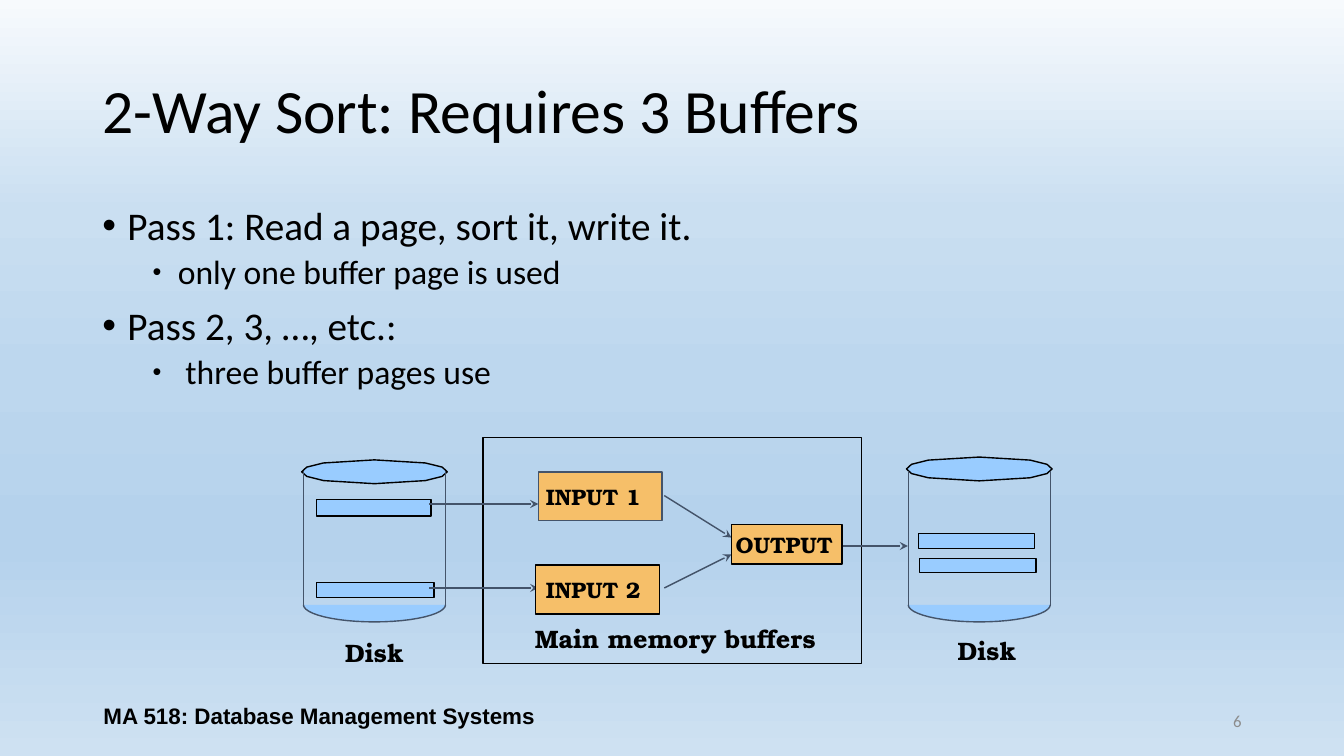
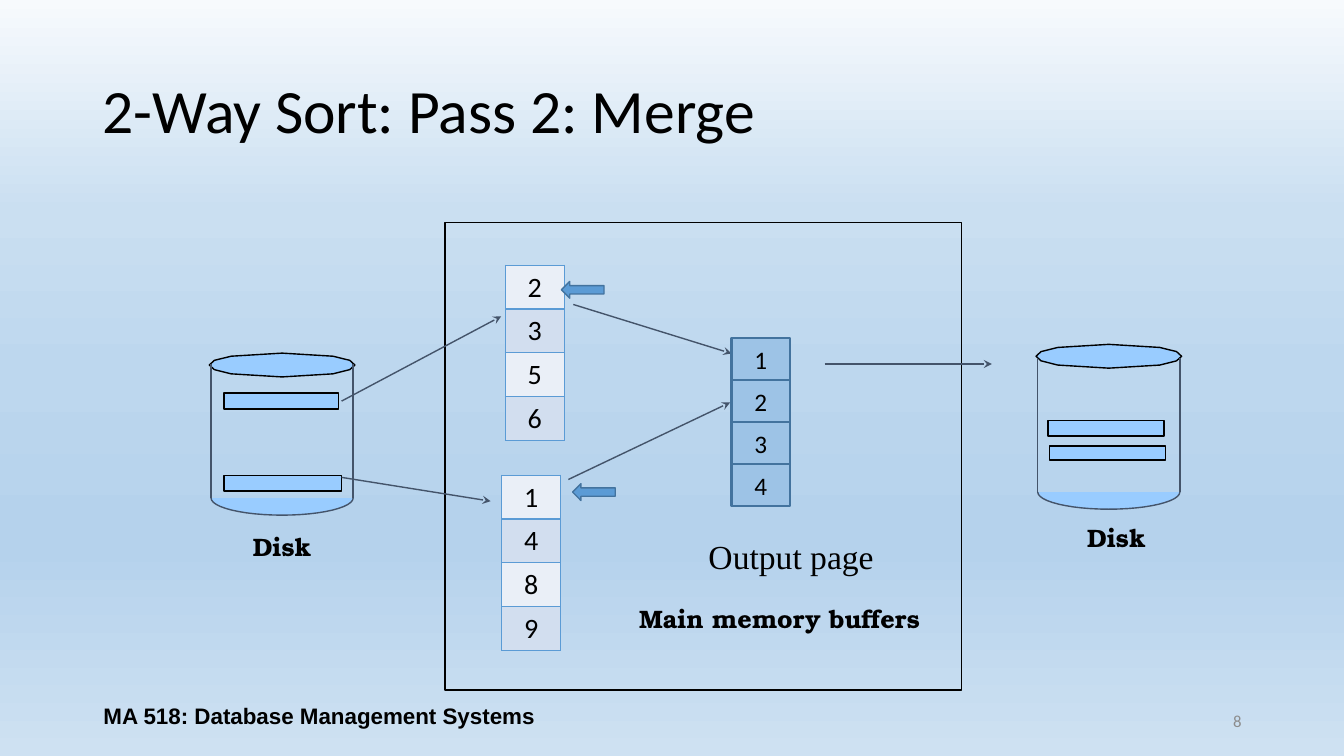
from math import cos, pi, sin
from lxml.etree import SubElement
from pptx import Presentation
from pptx.dml.color import RGBColor
from pptx.enum.shapes import MSO_CONNECTOR, MSO_SHAPE
from pptx.enum.text import MSO_ANCHOR, PP_ALIGN
from pptx.oxml.ns import qn
from pptx.util import Pt

hues = {
    "ink": "000000", "grey": "8C8C8C", "slate": "44546A", "sky": "99CCFF",
    "gold": "F6BF69", "blue": "5B9BD5", "edge": "43739E", "out": "9DC3E6",
    "pale": "EAEFF7", "dim": "D2DEEF",
}
fade = [(0, "F7FAFD"), (28, "CADFF1"), (49, "BDD7EE"),
        (71, "B5D2EC"), (72, "B5D2EC"), (100, "CEE1F2")]
serif = "TeX Gyre Bonum"


def style(frame, text, size, face="Calibri", bold=False, hue="ink",
          align=PP_ALIGN.LEFT, anchor=MSO_ANCHOR.TOP):
    frame.text = text
    frame.word_wrap = True
    frame.vertical_anchor = anchor
    for para in frame.paragraphs:
        para.alignment = align
        for run in para.runs:
            run.font.size = Pt(size)
            run.font.name = face
            run.font.bold = bold
            run.font.color.rgb = RGBColor.from_string(hues[hue])


def paint(shape, fill, line="ink", width=1):
    shape.shadow.inherit = False
    if fill:
        shape.fill.solid()
        shape.fill.fore_color.rgb = RGBColor.from_string(hues[fill])
    else:
        shape.fill.background()
    shape.line.color.rgb = RGBColor.from_string(hues[line])
    shape.line.width = Pt(width)


quad = [(1, 0), (0.93, 0.39), (0.7, 0.74), (0, 1)]
ring = quad + [(-x, y) for x, y in quad[-2::-1]]
ring += [(-x, -y) for x, y in quad[1:]] + [(x, -y) for x, y in quad[-2:0:-1]]
bowl = [(cos(pi * n / 24), sin(pi * n / 24)) for n in range(25)]

sides = [
    {"lift": 91.5, "label": (-28, 20),
     "bars": [(-41.5, -75, 82, 11.5), (-41.5, -16, 84, 11)]},
    {"lift": 93.5, "label": (-22.5, 18),
     "bars": [(-43.5, -51, 83, 11), (-42.5, -33, 83, 10)]},
]

pages = [
    {"title": "2-Way Sort: Requires 3 Buffers", "number": "6",
     "frame": (345, 312.5, 270.5, 161.5), "caption": (375, 441.5),
     "disks": [(267.5, 432), (699.5, 432)],
     "arrows": [(306.5, 360, 384.5, 360), (306.5, 420, 384.5, 420),
                (474.5, 354, 522.5, 384), (474.5, 420, 522.5, 396),
                (600.5, 390, 648.5, 390)]},
    {"title": "2-Way Sort: Pass 2: Merge", "number": "8",
     "frame": (318, 159, 369, 334), "caption": (449.5, 427.5),
     "disks": [(201.5, 355.75), (792, 351.5)],
     "arrows": [(244, 286.5, 358, 226), (244, 341, 350.5, 358),
                (409.5, 217.5, 522.5, 252.5), (406, 342.5, 521.5, 287.5),
                (589, 260, 708.5, 260)]},
]

deck = Presentation()
deck.slide_width, deck.slide_height = Pt(960), Pt(540)

master = deck.slide_master
back = master.background.fill
back.gradient()
back.gradient_angle = 270
stops = master.element.find(".//" + qn("p:bg")).find(".//" + qn("a:gsLst"))
for stop in list(stops):
    stops.remove(stop)
for place, tint in fade:
    stop = SubElement(stops, qn("a:gs"), pos=str(place * 1000))
    SubElement(stop, qn("a:srgbClr"), val=tint)

slides = []
for page in pages:
    slide = deck.slides.add_slide(deck.slide_layouts[6])
    slides.append(slide)
    shapes = slide.shapes

    title = shapes.add_textbox(Pt(66), Pt(28.75), Pt(828), Pt(104.5)).text_frame
    style(title, page["title"], 44, anchor=MSO_ANCHOR.MIDDLE)
    title.paragraphs[0].line_spacing = 0.9
    number = shapes.add_textbox(Pt(678), Pt(500.5), Pt(216), Pt(28.75)).text_frame
    style(number, page["number"], 12, hue="grey",
          align=PP_ALIGN.RIGHT, anchor=MSO_ANCHOR.MIDDLE)
    footer = shapes.add_textbox(Pt(66), Pt(497), Pt(324), Pt(28.75)).text_frame
    style(footer, "MA 518: Database Management Systems", 16, "Arial", True,
          align=PP_ALIGN.CENTER, anchor=MSO_ANCHOR.MIDDLE)

    memory = shapes.add_shape(MSO_SHAPE.RECTANGLE, *map(Pt, page["frame"]))
    paint(memory, None)
    x, y = page["caption"]
    caption = shapes.add_textbox(Pt(x), Pt(y), Pt(220), Pt(29)).text_frame
    style(caption, "Main memory buffers", 18, serif, True)

    lines = [(*ends, True) for ends in page["arrows"]]
    for (mid, base), side in zip(page["disks"], sides):
        for dots, level, wide, high, shut, edge in [
                (bowl, base, 50.75, 12.25, False, "slate"),
                (ring, base - side["lift"] - 3.5, 52, 8.5, True, "ink")]:
            spots = [(Pt(mid + wide * x), Pt(level + high * y)) for x, y in dots]
            pen = shapes.build_freeform(*spots[0], scale=1.0)
            pen.add_line_segments(spots[1:], close=shut)
            paint(pen.convert_to_shape(), "sky", edge)
        for x, y, wide, high in side["bars"]:
            bar = shapes.add_shape(MSO_SHAPE.RECTANGLE, Pt(mid + x),
                                   Pt(base + y), Pt(wide), Pt(high))
            paint(bar, "sky")
        x, y = side["label"]
        label = shapes.add_textbox(Pt(mid + x), Pt(base + y), Pt(70), Pt(29))
        style(label.text_frame, "Disk", 18, serif, True)
        for x in (mid - 50.75, mid + 50.75):
            lines.append((x, base - 95.75, x, base, False))

    for *ends, tip in lines:
        wire = shapes.add_connector(MSO_CONNECTOR.STRAIGHT, *map(Pt, ends))
        wire.line.color.rgb = RGBColor.from_string(hues["slate"])
        wire.line.width = Pt(1)
        props = wire.element.find(qn("p:spPr"))
        if tip:
            SubElement(props.find(qn("a:ln")), qn("a:tailEnd"), type="stealth")
        SubElement(props, qn("a:effectLst"))

buffers, merge = [slide.shapes for slide in slides]

steps = [(0, "Pass 1: Read a page, sort it, write it."),
         (1, "only one buffer page is used"),
         (0, "Pass 2, 3, …, etc.:"),
         (1, " three buffer pages use")]
body = buffers.add_textbox(Pt(66), Pt(144), Pt(828), Pt(160)).text_frame
style(body, "\n".join(text for level, text in steps), 28)
for para, (level, text) in zip(body.paragraphs, steps):
    para.level = level
    para.line_spacing = 0.9
    para.space_before = Pt(5 if level else 10)
    para.runs[0].font.size = Pt(24 if level else 28)
    props = para._p.get_or_add_pPr()
    props.set("marL", str(Pt(54 if level else 18)))
    props.set("indent", str(Pt(-18)))
    SubElement(props, qn("a:buSzPct"), val="75000" if level else "100000")
    SubElement(props, qn("a:buFont"), typeface="Arial")
    SubElement(props, qn("a:buChar"), char="•")

for text, x, y, wide, high, inset, edge in [
        ("INPUT 1", 384.5, 337, 88.5, 35, 5.5, "slate"),
        ("INPUT 2", 382.5, 403.5, 88.5, 35, 7.5, "ink"),
        ("OUTPUT", 522.5, 374.5, 79, 28.5, 3, "ink")]:
    box = buffers.add_shape(MSO_SHAPE.RECTANGLE, Pt(x), Pt(y), Pt(wide), Pt(high))
    paint(box, "gold", edge)
    style(box.text_frame, text, 16, serif, True, anchor=MSO_ANCHOR.MIDDLE)
    box.text_frame.margin_left = Pt(inset)
    box.text_frame.margin_right = 0

for x, y, digits in [(361, 189.5, "2356"), (358.5, 339.5, "1489")]:
    table = merge.add_table(4, 1, Pt(x), Pt(y), Pt(42), Pt(125)).table
    table.first_row = table.horz_banding = False
    for row, digit in enumerate(digits):
        cell = table.cell(row, 0)
        style(cell.text_frame, digit, 20, align=PP_ALIGN.CENTER)
        props = cell._tc.get_or_add_tcPr()
        for edge in ("a:lnL", "a:lnR", "a:lnT", "a:lnB"):
            line = SubElement(props, qn(edge), w=str(Pt(1)))
            solid = SubElement(line, qn("a:solidFill"))
            SubElement(solid, qn("a:srgbClr"), val=hues["blue"])
        cell.fill.solid()
        tint = hues["dim" if row % 2 else "pale"]
        cell.fill.fore_color.rgb = RGBColor.from_string(tint)

for x, y in [(401, 201), (409, 345.5)]:
    arrow = merge.add_shape(MSO_SHAPE.LEFT_ARROW, Pt(x), Pt(y), Pt(30.5), Pt(12))
    paint(arrow, "blue", "edge")

for row in range(4):
    cell = merge.add_shape(MSO_SHAPE.RECTANGLE, Pt(522.5), Pt(241.75 + 30 * row),
                           Pt(42), Pt(30))
    paint(cell, "out", "edge", 1.5)
    style(cell.text_frame, str(row + 1), 18,
          align=PP_ALIGN.CENTER, anchor=MSO_ANCHOR.MIDDLE)

output = merge.add_textbox(Pt(499), Pt(379.5), Pt(138), Pt(29)).text_frame
style(output, "Output page", 24, "Times New Roman")

deck.save("out.pptx")
